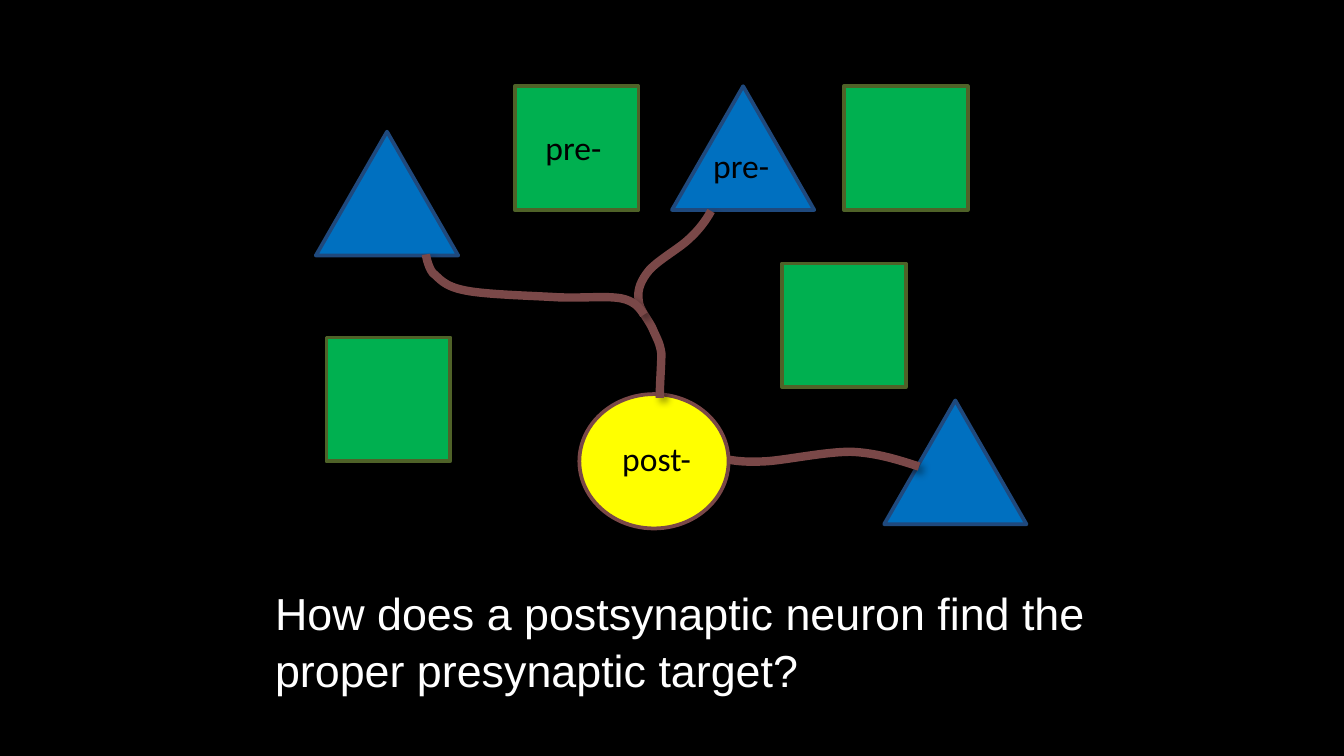
from lxml import etree
from pptx import Presentation
from pptx.dml.color import RGBColor
from pptx.enum.shapes import MSO_SHAPE as SHAPE
from pptx.oxml import parse_xml
from pptx.oxml.ns import nsdecls, qn
from pptx.util import Cm, Pt

BLACK = RGBColor(0x00, 0x00, 0x00)
WHITE = RGBColor(0xFF, 0xFF, 0xFF)
YELLOW = RGBColor(0xFF, 0xFF, 0x00)
GREEN = RGBColor(0x00, 0xB0, 0x50)
OLIVE = RGBColor(0x4F, 0x62, 0x28)
BLUE = RGBColor(0x00, 0x70, 0xC0)
NAVY = RGBColor(0x1F, 0x49, 0x7D)
BROWN = RGBColor(0x7A, 0x48, 0x48)

CELLS = {
    "post": (SHAPE.OVAL, 2.82, 2.54, YELLOW, BROWN),
    "square": (SHAPE.RECTANGLE, 2.34, 2.34, GREEN, OLIVE),
    "triangle": (SHAPE.ISOSCELES_TRIANGLE, 2.69, 2.34, BLUE, NAVY),
}
LABEL = {"name": "Calibri", "size": Pt(18)}
QUESTION = {"name": "Arial", "size": Pt(24)}

TO_TOP_TRIANGLE = [
    (6.5, 5.89), (6.5, 5.59), (6.53, 5.28), (6.53, 5.05),
    (6.5, 4.85), (6.45, 4.78), (6.38, 4.62),
    (6.32, 4.45), (6.1, 4.22), (6.1, 4.04),
    (6.07, 3.84), (6.15, 3.66), (6.3, 3.48),
    (6.48, 3.28), (6.86, 3.07), (7.04, 2.9),
    (7.24, 2.72), (7.37, 2.54), (7.47, 2.36),
]
TO_LEFT_TRIANGLE = [
    (6.2, 4.32), (6.12, 4.19), (6.02, 4.06), (5.77, 4.01),
    (5.49, 3.96), (5.05, 4.01), (4.57, 3.99),
    (4.09, 3.96), (3.2, 3.94), (2.82, 3.86),
    (2.41, 3.78), (2.34, 3.63), (2.21, 3.53),
    (2.11, 3.4), (2.08, 3.18), (2.08, 3.18),
]
TO_RIGHT_TRIANGLE = [
    (7.8, 7.06), (7.98, 7.09), (8.15, 7.11), (8.53, 7.09),
    (8.92, 7.06), (9.63, 6.91), (10.11, 6.91),
    (10.59, 6.93), (11, 7.06), (11.4, 7.19),
]


def outline(sp, color, width):
    sp.line.color.rgb = color
    sp.line.width = Pt(width)
    sp._element.spPr.append(parse_xml(
        f'<a:effectLst {nsdecls("a")}>'
        f'<a:outerShdw blurRad="{Pt(4)}" dist="{Pt(3)}" dir="2700000" rotWithShape="0">'
        '<a:srgbClr val="000000"><a:alpha val="40000"/></a:srgbClr>'
        '</a:outerShdw></a:effectLst>'))


def add_cell(s, kind, x, y):
    preset, w, h, fill, line = CELLS[kind]
    sp = s.shapes.add_shape(preset, Cm(x), Cm(y), Cm(w), Cm(h))
    sp.fill.solid()
    sp.fill.fore_color.rgb = fill
    outline(sp, line, 2)


def add_dendrite(s, left, top, points):
    pts = [(Cm(left + x), Cm(top + y)) for x, y in points]
    builder = s.shapes.build_freeform(*pts[0])
    builder.add_line_segments(pts[1:], close=False)
    sp = builder.convert_to_shape()
    sp.fill.background()
    outline(sp, BROWN, 4.5)
    lines = list(sp._element.iter(qn("a:lnTo")))
    for i in range(0, len(lines), 3):
        curve = etree.SubElement(lines[i].getparent(), qn("a:cubicBezTo"))
        for ln in lines[i:i + 3]:
            curve.append(ln[0])
            ln.getparent().remove(ln)


def add_text(s, x, y, w, h, text, fmt, color, wrap):
    tf = s.shapes.add_textbox(Cm(x), Cm(y), Cm(w), Cm(h)).text_frame
    tf.word_wrap = wrap
    p = tf.paragraphs[0]
    r = p.add_run()
    r.text = text
    for key, value in fmt.items():
        setattr(r.font, key, value)
    r.font.color.rgb = color
    return p


def add_neurons(s, left, top):
    add_cell(s, "post", left + 4.98, top + 5.82)
    add_cell(s, "square", left + 3.76, top)
    add_cell(s, "triangle", left + 6.73, top)
    add_dendrite(s, left, top, TO_TOP_TRIANGLE)
    add_cell(s, "square", left + 8.81, top + 3.35)
    add_cell(s, "triangle", left, top + 0.86)
    add_cell(s, "square", left + 9.98, top)
    add_dendrite(s, left, top, TO_LEFT_TRIANGLE)
    add_cell(s, "triangle", left + 10.74, top + 5.94)
    add_cell(s, "square", left + 0.2, top + 4.75)
    add_dendrite(s, left, top, TO_RIGHT_TRIANGLE)
    for text, x, y, w in [("pre-", 7.26, 0.99, 1.65),
                          ("pre-", 4.09, 0.64, 1.65),
                          ("post-", 5.54, 6.53, 1.93)]:
        add_text(s, left + x, top + y, w, 1.02, text, LABEL, BLACK, False)


def add_question(s, left, top, width, height):
    p = add_text(s, left, top, width, height,
                 "How does a postsynaptic neuron find the proper presynaptic target?",
                 QUESTION, WHITE, True)
    p.line_spacing = 1.05


def main():
    prs = Presentation()
    prs.slide_width, prs.slide_height = Cm(25.4), Cm(14.29)
    s = prs.slides.add_slide(prs.slide_layouts[6])
    s.background.fill.solid()
    s.background.fill.fore_color.rgb = BLACK
    add_neurons(s, 5.97, 1.63)
    add_question(s, 4.95, 10.9, 17.65, 3.18)
    prs.save("out.pptx")


if __name__ == "__main__":
    main()
